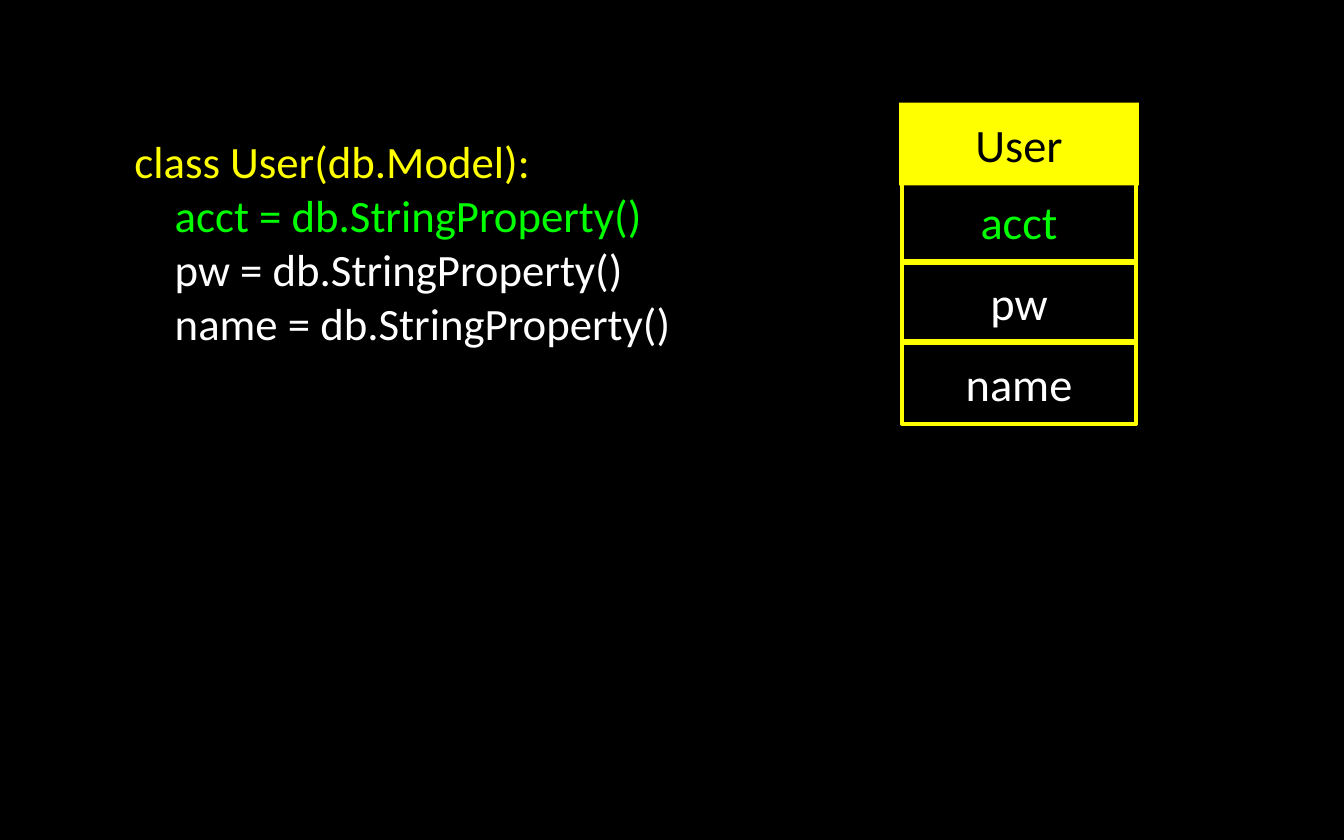
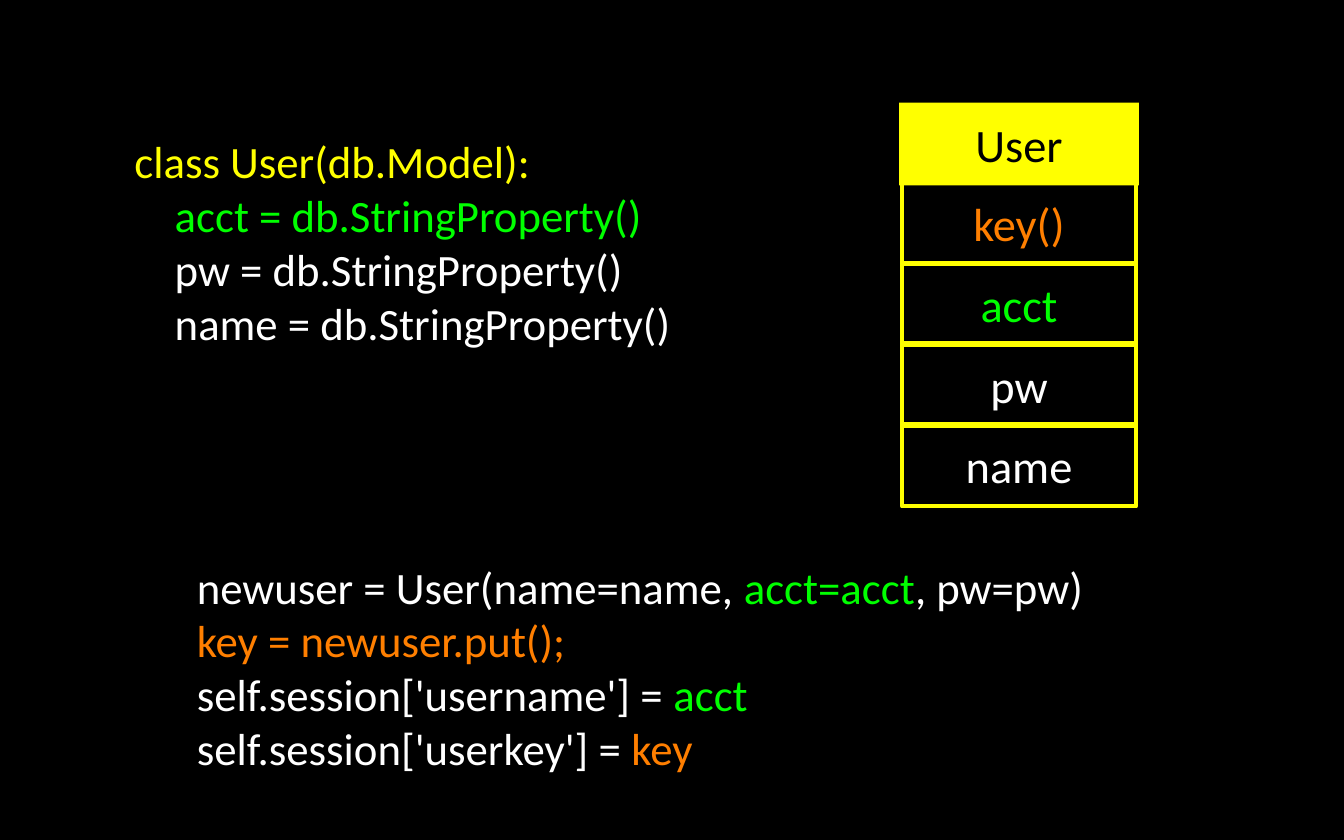
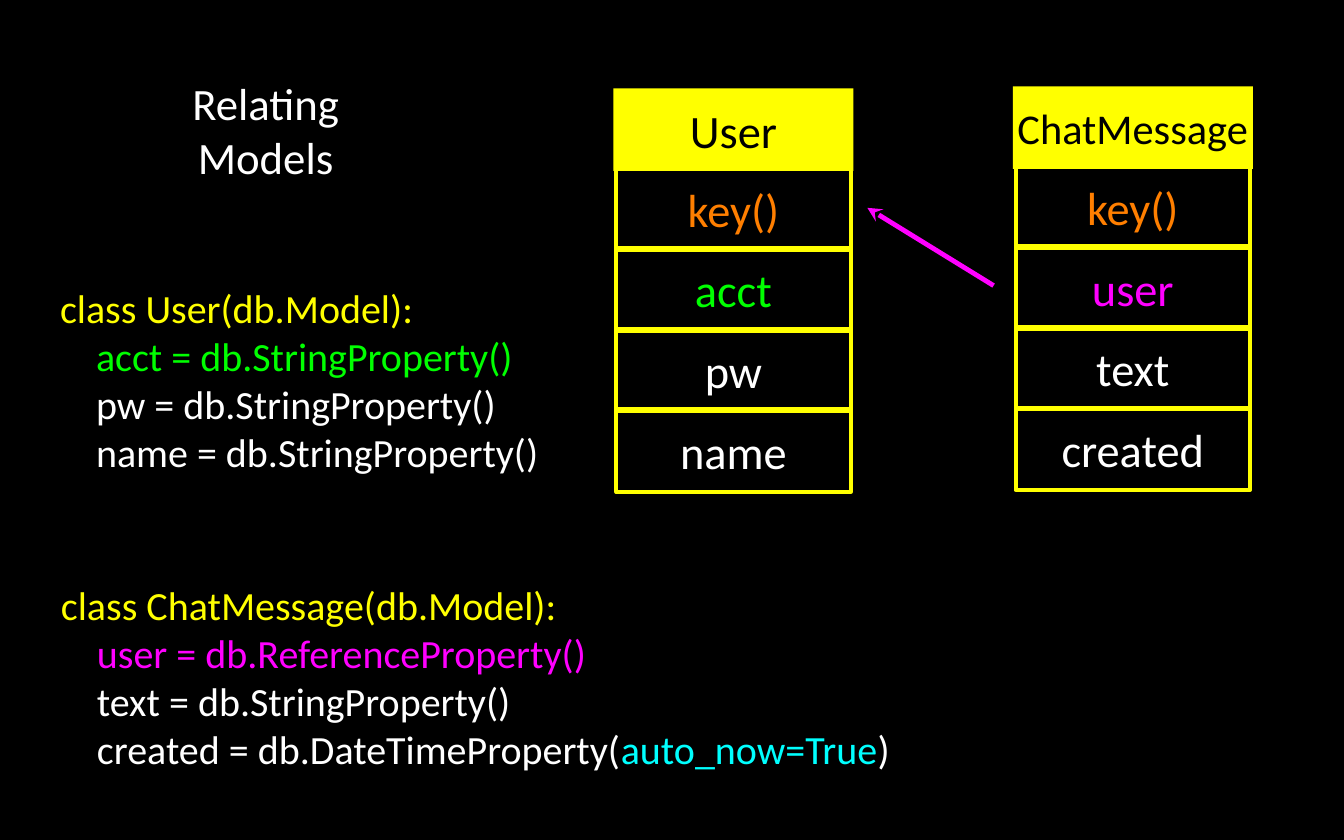
from lxml import etree
from pptx import Presentation
from pptx.dml.color import RGBColor
from pptx.enum.shapes import MSO_CONNECTOR, MSO_SHAPE
from pptx.enum.text import MSO_ANCHOR, MSO_AUTO_SIZE, PP_ALIGN
from pptx.oxml.ns import qn
from pptx.util import Inches, Pt

RECT, LINE = MSO_SHAPE.RECTANGLE, MSO_CONNECTOR.STRAIGHT
LEFT, MID = PP_ALIGN.LEFT, PP_ALIGN.CENTER
COLS, ROWS = 28, 17.5
UNIT = Inches(5 / 6)
FONT = "Calibri"
BLACK, WHITE, YELLOW = "000000", "FFFFFF", "FFFF00"
GREEN, ORANGE, PINK, CYAN = "00FF00", "FF7F00", "FF00FF", "00FFFF"
TITLE_ONLY, BLANK = 5, 6
HEAD_W, CELL_W, CELL_H, STEP = 5, 4.88, 1.72, 1.68
INDENT = 0.9  # of the font size


def rgb(code):
    return RGBColor.from_string(code)


def grid(*cells):
    return [round(n * UNIT) for n in cells]


def write(shape, lines, size=58, align=MID, indents=()):
    """Fill a shape with lines, each a list of (text, colour) runs."""
    frame = shape.text_frame
    frame.word_wrap = True
    frame.auto_size = MSO_AUTO_SIZE.NONE
    frame.vertical_anchor = MSO_ANCHOR.MIDDLE
    frame.margin_left = frame.margin_right = 0
    frame.margin_top = frame.margin_bottom = 0
    for i, line in enumerate(lines):
        para = frame.paragraphs[0] if i == 0 else frame.add_paragraph()
        para.alignment = align
        if i in indents:
            props = para._p.get_or_add_pPr()
            props.set("marL", str(Pt(size * INDENT)))
            props.set("indent", "0")
        for text, color in line:
            run = para.add_run()
            run.text = text
            run.font.name = FONT
            run.font.size = Pt(size)
            run.font.color.rgb = rgb(color)


class Deck:
    def __init__(self):
        self.prs = Presentation()
        self.prs.slide_width, self.prs.slide_height = grid(COLS, ROWS)
        back = self.prs.slide_master.background.fill
        back.solid()
        back.fore_color.rgb = rgb(BLACK)
        self.slide = None

    def add(self, layout=BLANK):
        self.slide = self.prs.slides.add_slide(self.prs.slide_layouts[layout])

    def title(self, text, x, y, w, h):
        box = self.slide.shapes.title
        box.left, box.top, box.width, box.height = grid(x, y, w, h)
        write(box, [[(text, WHITE)]], size=56)

    def code(self, lines, x, mid, w, size=56, indents=(1, 2, 3)):
        """Place a listing whose vertical middle is at mid."""
        h = len(lines) * size / 50
        box = self.slide.shapes.add_textbox(*grid(x, mid - h / 2, w, h))
        write(box, lines, size=size, align=LEFT, indents=indents)

    def cell(self, text, color, x, y, w, size=58, fill=None):
        box = self.slide.shapes.add_shape(RECT, *grid(x, y, w, CELL_H))
        box.shadow.inherit = False
        if fill:
            box.fill.solid()
            box.fill.fore_color.rgb = rgb(fill)
            box.line.fill.background()
        else:
            box.fill.background()
            box.line.color.rgb = rgb(YELLOW)
            box.line.width = Pt(5)
        write(box, [[(text, color)]], size=size)

    def model(self, name, fields, x, y, gap=1.65, size=58):
        """Stack a filled header and one outlined cell per field."""
        self.cell(name, BLACK, x, y, HEAD_W, size, YELLOW)
        inset = (HEAD_W - CELL_W) / 2
        for i, (text, color) in enumerate(fields):
            self.cell(text, color, x + inset, y + gap + i * STEP, CELL_W)

    def arrow(self, x1, y1, x2, y2, color):
        """Draw a line with its arrowhead at the first point."""
        line = self.slide.shapes.add_connector(LINE, *grid(x1, y1, x2, y2))
        line.line.color.rgb = rgb(color)
        line.line.width = Pt(6)
        etree.SubElement(line.line._get_or_add_ln(), qn("a:headEnd"), type="stealth")
        etree.SubElement(line._element.spPr, qn("a:effectLst"))


KEY = ("key()", ORANGE)
FIELDS = [("acct", GREEN), ("pw", WHITE), ("name", WHITE)]
USER = [
    [("class User(db.Model):", YELLOW)],
    *[[(f"{name} = db.StringProperty()", color)] for name, color in FIELDS],
]
SESSION = [
    [("newuser = User(name=name, ", WHITE), ("acct=acct", GREEN), (", pw=pw)", WHITE)],
    [("key = newuser.put();", ORANGE)],
    [("self.session['username'] = ", WHITE), ("acct", GREEN)],
    [("self.session['userkey'] = ", WHITE), ("key", ORANGE)],
]
CHAT = [
    [("class ChatMessage(db.Model):", YELLOW)],
    [("user = db.ReferenceProperty()", PINK)],
    [("text = db.StringProperty()", WHITE)],
    [("created = db.DateTimeProperty(", WHITE), ("auto_now=True", CYAN), (")", WHITE)],
]


def main():
    deck = Deck()

    deck.add()
    deck.model("User", FIELDS, 18.73, 2.14, gap=1.61)
    deck.code(USER, 2.8, 5.03, 11.56)

    deck.add()
    deck.model("User", [KEY, *FIELDS], 18.73, 2.14)
    deck.code(USER, 2.8, 5.03, 11.56)
    deck.code(SESSION, 3.26, 13.89, 19.69, indents=range(4))

    deck.add(TITLE_ONLY)
    deck.title("Relating Models", 3.26, 1.57, 4.55, 2.27)
    deck.model("User", [KEY, *FIELDS], 12.78, 1.84)
    deck.code(USER, 1.25, 7.91, 10.33, size=50)
    deck.code(CHAT, 1.27, 14.09, 17.96, size=50)
    chat = [KEY, ("user", PINK), ("text", WHITE), ("created", WHITE)]
    deck.model("ChatMessage", chat, 21.1, 1.8, size=53)
    deck.arrow(18.07, 4.33, 20.7, 5.95, PINK)

    deck.prs.save("out.pptx")


if __name__ == "__main__":
    main()
